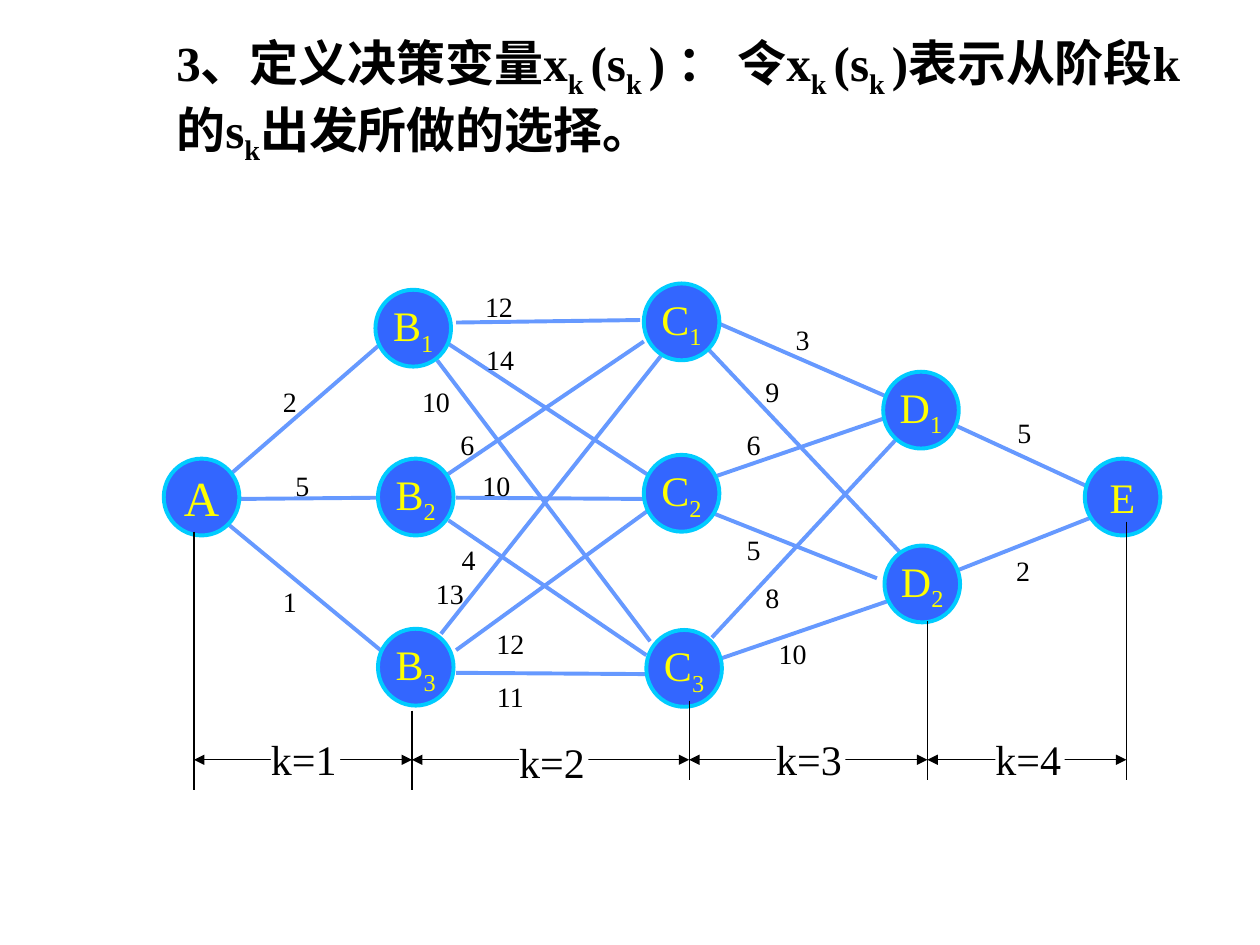
from dataclasses import dataclass
from lxml.etree import SubElement
from pptx import Presentation
from pptx.dml.color import RGBColor
from pptx.enum.shapes import MSO_CONNECTOR as Connector, MSO_SHAPE as Shape
from pptx.enum.text import MSO_ANCHOR as Anchor, MSO_AUTO_SIZE as AutoSize, PP_ALIGN as Align
from pptx.oxml.ns import qn
from pptx.util import Inches, Pt


@dataclass(frozen=True)
class Theme:
    font: str = "Times New Roman"
    ink: RGBColor = RGBColor(0, 0, 0)
    paper: RGBColor = RGBColor(0xFF, 0xFF, 0xFF)
    edge: RGBColor = RGBColor(0x66, 0x99, 0xFF)
    node: RGBColor = RGBColor(0x33, 0x66, 0xFF)
    rim: RGBColor = RGBColor(0x00, 0xCC, 0xFF)
    node_text: RGBColor = RGBColor(0xFF, 0xFF, 0x00)
    heading_size: int = 28
    start_size: int = 28
    label_size: int = 24
    weight_size: int = 16
    thick: float = 2.25
    thin: float = 0.75


theme = Theme()


def write(box, runs, size, color, align, anchor, insets=(0, 0), bold=False):
    frame = box.text_frame
    frame.word_wrap = True
    frame.auto_size = AutoSize.NONE
    frame.vertical_anchor = anchor
    frame.margin_left = frame.margin_right = Inches(insets[0])
    frame.margin_top = frame.margin_bottom = Inches(insets[1])
    paragraph = frame.paragraphs[0]
    paragraph.alignment = align
    for text, is_subscript in runs:
        run = paragraph.add_run()
        run.text = text
        run.font.name = theme.font
        run.font.size = Pt(size)
        run.font.bold = bold
        run.font.color.rgb = color
        if is_subscript:
            run.font._element.set("baseline", "-25000")


def draw_line(shapes, ends, color, width, arrows=False):
    line = shapes.add_connector(Connector.STRAIGHT, *map(Inches, ends))
    line.line.color.rgb = color
    line.line.width = Pt(width)
    if arrows:
        outline = line.line._get_or_add_ln()
        for end in ("a:headEnd", "a:tailEnd"):
            SubElement(outline, qn(end), type="triangle")
    SubElement(line._element.spPr, qn("a:effectLst"))


deck = Presentation()
deck.slide_width, deck.slide_height = Inches(10), Inches(7.5)
slide = deck.slides.add_slide(deck.slide_layouts[5])

heading = slide.shapes.title
heading.left, heading.top = Inches(1.3), Inches(0.21)
heading.width, heading.height = Inches(8.27), Inches(1.16)
heading_runs = [
    ("3、定义决策变量x", False), ("k ", True), ("(s", False), ("k ", True),
    (") ： 令x", False), ("k ", True), ("(s", False), ("k ", True),
    (")表示从阶段k的s", False), ("k", True), ("出发所做的选择。", False),
]
write(heading, heading_runs, theme.heading_size, theme.ink, Align.LEFT, Anchor.TOP,
      insets=(0.1, 0.05), bold=True)

network = slide.shapes.add_group_shape().shapes

# Each route: line ends, weight, weight position
routes = [
    ((1.81, 3.78, 3.02, 2.73), "2", (2.14, 3.05)),
    ((1.9, 3.96, 3.02, 3.95), "5", (2.24, 3.72)),
    ((1.81, 4.16, 3.02, 5.16), "1", (2.14, 4.64)),
    ((3.62, 2.56, 5.08, 2.54), "12", (3.8, 2.3)),
    ((3.53, 2.71, 5.16, 3.78), "14", (3.81, 2.72)),
    ((3.47, 2.86, 5.16, 5.09), "10", (3.3, 3.05)),
    ((3.53, 3.78, 5.11, 2.71), "6", (3.55, 3.39)),
    ((3.62, 3.95, 5.11, 3.96), "10", (3.78, 3.72)),
    ((3.56, 4.13, 5.13, 5.2), "4", (3.56, 4.31)),
    ((3.5, 5.03, 5.25, 2.82), "13", (3.41, 4.58)),
    ((3.62, 5.16, 5.16, 4.04), "12", (3.89, 4.97)),
    ((3.62, 5.34, 5.13, 5.35), "11", (3.89, 5.39)),
    ((5.71, 2.57, 7.02, 3.14), "3", (6.21, 2.56)),
    ((5.62, 2.77, 7.14, 4.38), "9", (5.97, 2.97)),
    ((5.68, 3.78, 7.02, 3.32), "6", (5.82, 3.39)),
    ((5.65, 4.07, 6.96, 4.59), "5", (5.82, 4.23)),
    ((5.65, 5.06, 7.11, 3.49), "8", (5.97, 4.61)),
    ((5.71, 5.23, 7.05, 4.77), "10", (6.13, 5.05)),
    ((7.59, 3.38, 8.65, 3.87), "5", (7.97, 3.3)),
    ((7.59, 4.53, 8.68, 4.1), "2", (7.96, 4.39)),
]
for ends, _, _ in routes:
    draw_line(network, ends, theme.edge, theme.thick)
for _, weight, (left, top) in routes:
    weight_label = network.add_textbox(Inches(left), Inches(top), Inches(0.32), Inches(0.33))
    write(weight_label, [(weight, False)], theme.weight_size, theme.ink, Align.CENTER, Anchor.TOP)

states = {
    "A": (1.3, 3.64),
    "B1": (2.98, 2.3), "B2": (3, 3.64), "B3": (3, 4.99),
    "C1": (5.11, 2.25), "C2": (5.11, 3.61), "C3": (5.13, 5),
    "D1": (7.01, 2.95), "D2": (7.02, 4.33),
    "E": (8.61, 3.64),
}
for state, (left, top) in states.items():
    node = network.add_shape(Shape.OVAL, Inches(left), Inches(top), Inches(0.6), Inches(0.61))
    node.shadow.inherit = False
    node.fill.solid()
    node.fill.fore_color.rgb = theme.node
    node.line.color.rgb = theme.rim
    node.line.width = Pt(theme.thick)
    size = theme.start_size if state == "A" else theme.label_size
    state_runs = [(character, character.isdigit()) for character in state]
    write(node, state_runs, size, theme.node_text, Align.CENTER, Anchor.MIDDLE)

boundaries = [(1.54, 4.22, 6.27), (3.27, 5.64, 6.27), (5.47, 5.56, 6.19),
              (7.36, 4.93, 6.19), (8.94, 4.14, 6.19)]
for x, top, bottom in boundaries:
    draw_line(slide.shapes, (x, top, x, bottom), theme.ink, theme.thin)
for (start, *_), (end, *_) in zip(boundaries, boundaries[1:]):
    draw_line(slide.shapes, (start, 6.03, end, 6.03), theme.ink, theme.thin, arrows=True)

stage_positions = [(2.15, 5.77), (4.12, 5.8), (6.16, 5.77), (7.9, 5.77)]
for number, (left, top) in enumerate(stage_positions, 1):
    stage = slide.shapes.add_shape(Shape.RECTANGLE, Inches(left), Inches(top), Inches(0.55), Inches(0.5))
    stage.shadow.inherit = False
    stage.fill.solid()
    stage.fill.fore_color.rgb = theme.paper
    stage.line.fill.background()
    write(stage, [(f"k={number}", False)], theme.label_size, theme.ink, Align.LEFT, Anchor.TOP,
          insets=(0, 0.05))

deck.save("out.pptx")
